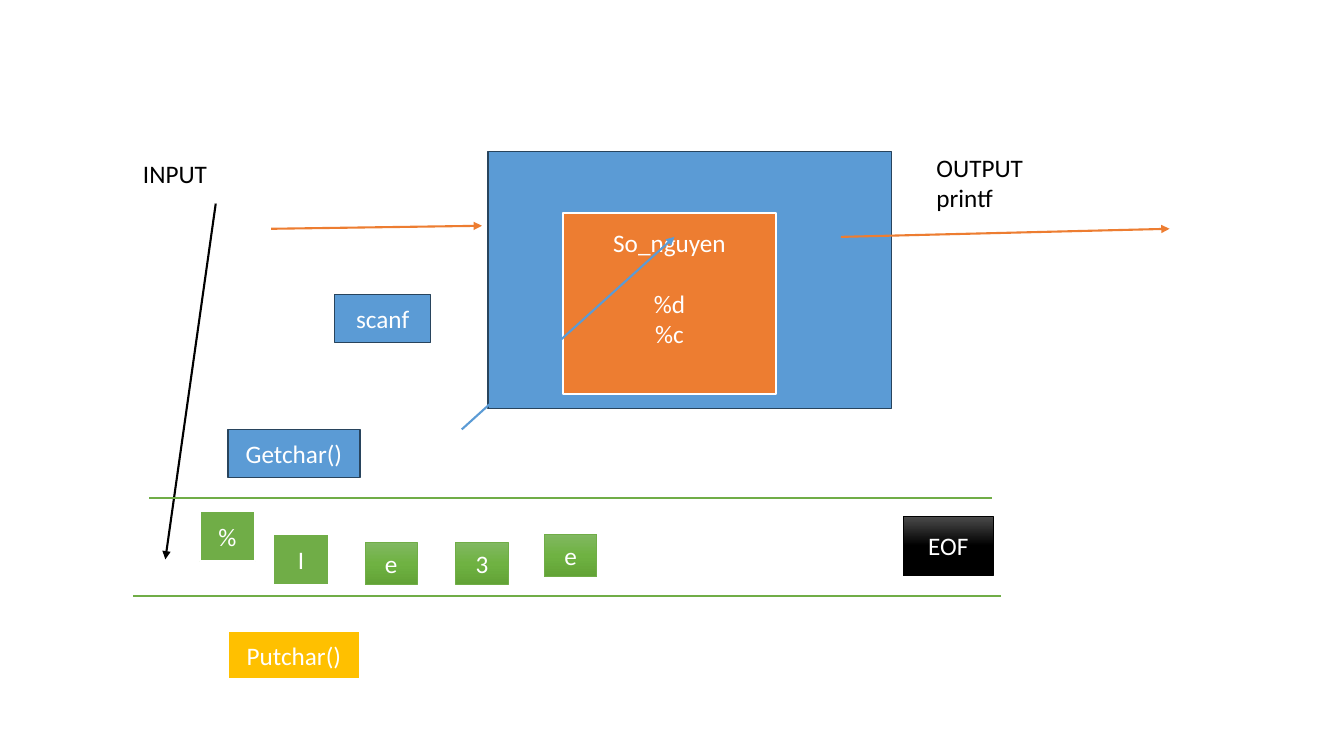
"""Build the slide showing how characters flow through input and output calls."""
from copy import deepcopy
from dataclasses import dataclass

from lxml.etree import SubElement
from pptx import Presentation
from pptx.dml.color import RGBColor
from pptx.enum.shapes import MSO_CONNECTOR as Connector, MSO_SHAPE as Preset
from pptx.enum.text import MSO_ANCHOR as Anchor, MSO_AUTO_SIZE as AutoSize, PP_ALIGN as Align
from pptx.oxml.ns import qn
from pptx.util import Inches, Pt


@dataclass(frozen=True)
class Theme:
    """Colours, font and sizes of the slide."""
    font: str = "Calibri"
    size: float = 18
    gap: float = 22
    white: str = "FFFFFF"
    black: str = "000000"
    blue: str = "5B9BD5"
    navy: str = "28445D"
    orange: str = "ED7D31"
    green: str = "70AD47"
    gold: str = "FFC000"
    green_fade: tuple = ("81B861", "6FB242", "62A336")
    black_fade: tuple = ("4B4B4B", "000000", "000000")


class Painter:
    """Draws styled elements on the current page."""

    def __init__(self, page, theme):
        """Keep the page and its theme."""
        self.page = page
        self.theme = theme

    def add_lines(self, frame, lines, color, align):
        """Fill a text frame with one paragraph per line."""
        frame.word_wrap = True
        for index, line in enumerate(lines):
            para = frame.add_paragraph() if index else frame.paragraphs[0]
            para.alignment = align
            span = para.add_run()
            span.text = line
            span.font.name = self.theme.font
            span.font.size = Pt(self.theme.size)
            span.font.color.rgb = RGBColor.from_string(color)

    def fade(self, box, colors):
        """Give a box a vertical gradient with evenly spaced stops."""
        box.fill.gradient()
        box.fill.gradient_angle = 270
        stop_list = box._element.spPr.find(qn("a:gradFill")).find(qn("a:gsLst"))
        stop_list.append(deepcopy(stop_list[0]))
        for index, (stop, color) in enumerate(zip(box.fill.gradient_stops, colors)):
            stop.position = index / (len(colors) - 1)
            stop.color.rgb = RGBColor.from_string(color)

    def box(self, place, fill, edge, weight, *lines):
        """Draw a rectangle with centred white text."""
        box = self.page.shapes.add_shape(Preset.RECTANGLE, *map(Inches, place))
        box.shadow.inherit = False
        if isinstance(fill, tuple):
            self.fade(box, fill)
        else:
            box.fill.solid()
            box.fill.fore_color.rgb = RGBColor.from_string(fill)
        box.line.color.rgb = RGBColor.from_string(edge)
        box.line.width = Pt(weight)
        box.text_frame.vertical_anchor = Anchor.MIDDLE
        self.add_lines(box.text_frame, lines, self.theme.white, Align.CENTER)
        return box

    def label(self, place, *lines):
        """Place black text that has no frame."""
        box = self.page.shapes.add_textbox(*map(Inches, place))
        self.add_lines(box.text_frame, lines, self.theme.black, Align.LEFT)
        box.text_frame.auto_size = AutoSize.SHAPE_TO_FIT_TEXT

    def line(self, start, end, color, arrow=True):
        """Draw a straight line, with an arrowhead at its end if wanted."""
        line = self.page.shapes.add_connector(Connector.STRAIGHT, *map(Inches, start + end))
        line.line.color.rgb = RGBColor.from_string(color)
        line.line.width = Pt(1.5)
        properties = line._element.spPr
        if arrow:
            SubElement(properties.find(qn("a:ln")), qn("a:tailEnd"), type="triangle")
        SubElement(properties, qn("a:effectLst"))


def main():
    """Build and save the deck."""
    theme = Theme()
    deck = Presentation()
    deck.slide_width, deck.slide_height = Inches(13.33), Inches(7.5)
    painter = Painter(deck.slides.add_slide(deck.slide_layouts[6]), theme)

    painter.box((4.84, 1.5, 4, 2.55), theme.blue, theme.navy, 1)
    painter.line((2.69, 2.27), (4.78, 2.24), theme.orange)
    painter.line((8.34, 2.35), (11.6, 2.27), theme.orange)
    painter.label((1.32, 1.52, 1.57, 0.4), "INPUT")
    painter.label((9.19, 1.46, 1.57, 1.01), "OUTPUT", "printf")

    variable = painter.box((5.58, 2.11, 2.12, 1.8), theme.orange, theme.white, 1.5,
                           "So_nguyen", "%d", "%c")
    variable.text_frame.margin_bottom = Inches(0.35)
    variable.text_frame.paragraphs[1].space_before = Pt(theme.gap)

    painter.line((2.14, 2.02), (1.64, 5.55), theme.black)
    painter.line((1.48, 4.94), (9.84, 4.94), theme.green, arrow=False)
    painter.line((1.32, 5.91), (9.93, 5.91), theme.green, arrow=False)
    painter.line((4.58, 4.26), (6.69, 2.35), theme.blue)

    for left, top, text in ((1.98, 5.07, "%"), (2.71, 5.3, "I")):
        painter.box((left, top, 0.55, 0.5), theme.green, theme.white, 1.5, text)
    for left, top, text in ((3.62, 5.38, "e"), (4.52, 5.38, "3"), (5.4, 5.3, "e")):
        painter.box((left, top, 0.52, 0.42), theme.green_fade, theme.green, 0.5, text)
    painter.box((8.96, 5.12, 0.89, 0.59), theme.black_fade, theme.black, 0.5, "EOF")

    painter.box((3.32, 2.92, 0.95, 0.48), theme.blue, theme.navy, 1, "scanf")
    painter.box((2.26, 4.26, 1.31, 0.48), theme.blue, theme.navy, 1, "Getchar()")
    painter.box((2.26, 6.26, 1.31, 0.48), theme.gold, theme.white, 1.5, "Putchar()")
    deck.save("out.pptx")


if __name__ == "__main__":
    main()
